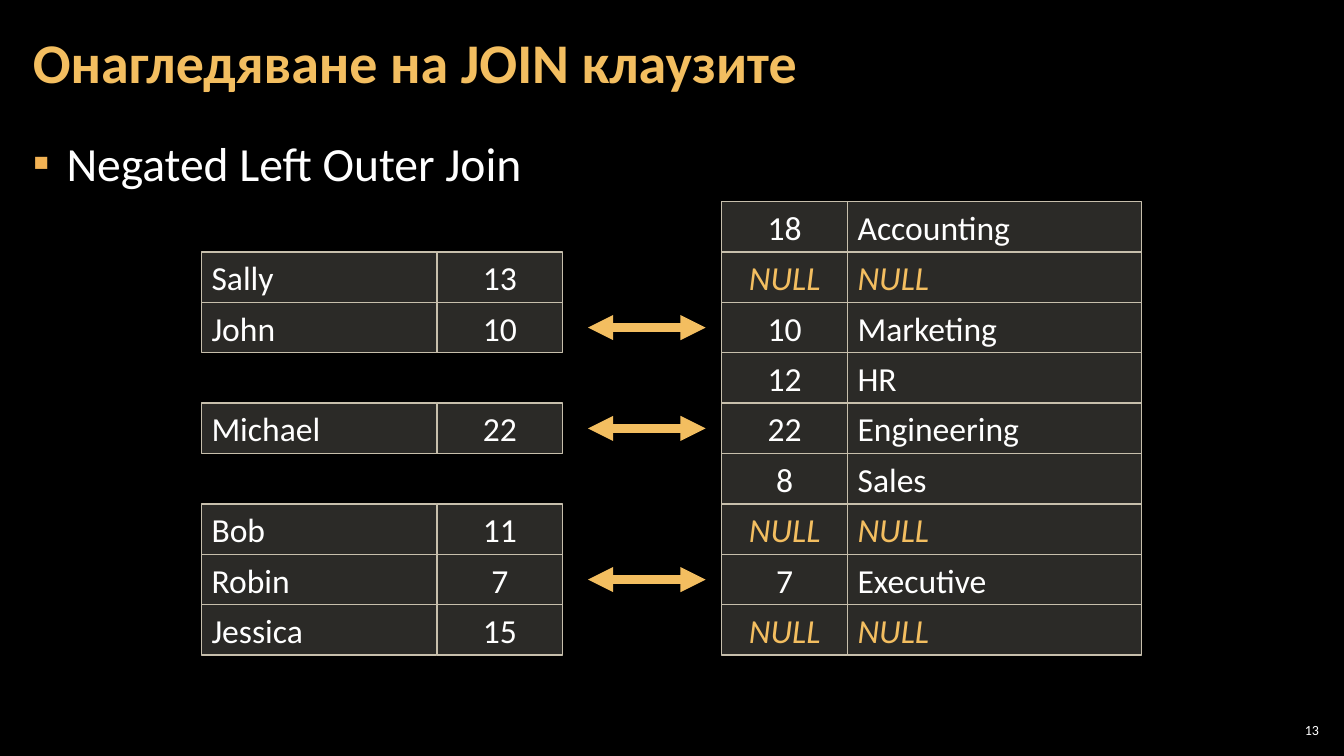
from lxml.etree import SubElement
from pptx import Presentation
from pptx.dml.color import RGBColor
from pptx.enum.shapes import MSO_CONNECTOR, MSO_SHAPE
from pptx.enum.text import MSO_ANCHOR, MSO_AUTO_SIZE, PP_ALIGN
from pptx.oxml.ns import qn
from pptx.util import Pt

BLACK = RGBColor(0x00, 0x00, 0x00)
WHITE = RGBColor(0xFF, 0xFF, 0xFF)
GOLD = RGBColor(0xF3, 0xBE, 0x60)
BULLET = RGBColor(0xF2, 0xB2, 0x54)
CELL_FILL = RGBColor(0xD9, 0xD5, 0xC7)
CELL_LINE = RGBColor(0xC7, 0xBF, 0xAC)

# Employee, department id, matching id, department name
ROWS = [
    (None, None, "18", "Accounting"),
    ("Sally", "13", "NULL", "NULL"),
    ("John", "10", "10", "Marketing"),
    (None, None, "12", "HR"),
    ("Michael", "22", "22", "Engineering"),
    (None, None, "8", "Sales"),
    ("Bob", "11", "NULL", "NULL"),
    ("Robin", "7", "7", "Executive"),
    ("Jessica", "15", "NULL", "NULL"),
]

# Left edge, width and alignment of each column
COLUMNS = [
    (144, 168, PP_ALIGN.LEFT),
    (312, 90, PP_ALIGN.CENTER),
    (515.5, 90, PP_ALIGN.CENTER),
    (605.5, 210, PP_ALIGN.LEFT),
]
ROWS_TOP, ROW_HEIGHT = 144, 36
ARROW_LEFT, ARROW_RIGHT = 420, 504


class SlideBuilder:
    def __init__(self, slide, font="Calibri"):
        self.slide = slide
        self.font = font
        fill = slide.background.fill
        fill.solid()
        fill.fore_color.rgb = BLACK

    def place(self, sp, left, top, width, height):
        sp.left, sp.top = Pt(left), Pt(top)
        sp.width, sp.height = Pt(width), Pt(height)

    def set_text(self, sp, text, size, color=WHITE, align=PP_ALIGN.LEFT,
                 anchor=MSO_ANCHOR.MIDDLE, margins=(7.2, 3.6),
                 bold=False, italic=False):
        tf = sp.text_frame
        tf.text = text
        tf.word_wrap = True
        tf.auto_size = MSO_AUTO_SIZE.NONE
        tf.vertical_anchor = anchor
        tf.margin_left = tf.margin_right = Pt(margins[0])
        tf.margin_top = tf.margin_bottom = Pt(margins[1])
        p = tf.paragraphs[0]
        p.alignment = align
        p.space_before = Pt(0)
        font = p.runs[0].font
        font.name, font.size = self.font, Pt(size)
        font.bold, font.italic = bold, italic
        font.color.rgb = color
        return p

    def title(self, text):
        sp = self.slide.shapes.title
        self.place(sp, 15, 3, 754, 87)
        p = self.set_text(sp, text, 40, GOLD, margins=(8.5, 2.8), bold=True)
        p.line_spacing = 0.9

    def bullet(self, text):
        sp = self.slide.placeholders[1]
        self.place(sp, 15, 90.5, 929.5, 438.5)
        p = self.set_text(sp, text, 34, anchor=MSO_ANCHOR.TOP,
                          margins=(8.5, 2.8))
        p.line_spacing = 1.05
        p.space_after = Pt(6)
        pPr = p._p.get_or_add_pPr()
        pPr.set("marL", str(Pt(24)))
        pPr.set("indent", str(Pt(-24)))
        color = SubElement(pPr, qn("a:buClr"))
        SubElement(color, qn("a:srgbClr"), val=str(BULLET))
        SubElement(pPr, qn("a:buFont"), typeface=self.font)
        SubElement(pPr, qn("a:buChar"), char="▪")

    def cell(self, text, left, top, width, align):
        sp = self.slide.shapes.add_shape(
            MSO_SHAPE.RECTANGLE, Pt(left), Pt(top), Pt(width), Pt(ROW_HEIGHT))
        sp.shadow.inherit = False
        sp.fill.solid()
        sp.fill.fore_color.rgb = CELL_FILL
        rgb = sp._element.spPr.find(qn("a:solidFill")).find(qn("a:srgbClr"))
        SubElement(rgb, qn("a:alpha"), val="20000")
        sp.line.color.rgb = CELL_LINE
        sp.line.width = Pt(1)
        missing = text == "NULL"
        self.set_text(sp, text, 24, GOLD if missing else WHITE, align,
                      italic=missing)

    def arrow(self, y):
        cxn = self.slide.shapes.add_connector(
            MSO_CONNECTOR.STRAIGHT,
            Pt(ARROW_LEFT), Pt(y), Pt(ARROW_RIGHT), Pt(y))
        cxn.line.color.rgb = GOLD
        cxn.line.width = Pt(6)
        spPr = cxn._element.spPr
        ln = spPr.find(qn("a:ln"))
        for end in ("a:headEnd", "a:tailEnd"):
            SubElement(ln, qn(end), type="triangle")
        SubElement(spPr, qn("a:effectLst"))

    def page_number(self, text):
        sp = self.slide.shapes.add_textbox(Pt(911), Pt(514), Pt(34), Pt(15))
        self.set_text(sp, text, 10, align=PP_ALIGN.RIGHT, margins=(2.8, 2.8))


def main():
    prs = Presentation()
    prs.slide_width, prs.slide_height = Pt(960), Pt(540)
    builder = SlideBuilder(prs.slides.add_slide(prs.slide_layouts[1]))

    # Heading, list and page number
    builder.title("Онагледяване на JOIN клаузите")
    builder.bullet("Negated Left Outer Join")
    builder.page_number("13")

    # Joined rows, with an arrow where the ids match
    for i, row in enumerate(ROWS):
        top = ROWS_TOP + i * ROW_HEIGHT
        for text, (left, width, align) in zip(row, COLUMNS):
            if text:
                builder.cell(text, left, top, width, align)
        if row[1] == row[2]:
            builder.arrow(top + ROW_HEIGHT / 2)

    prs.save("out.pptx")


if __name__ == "__main__":
    main()
